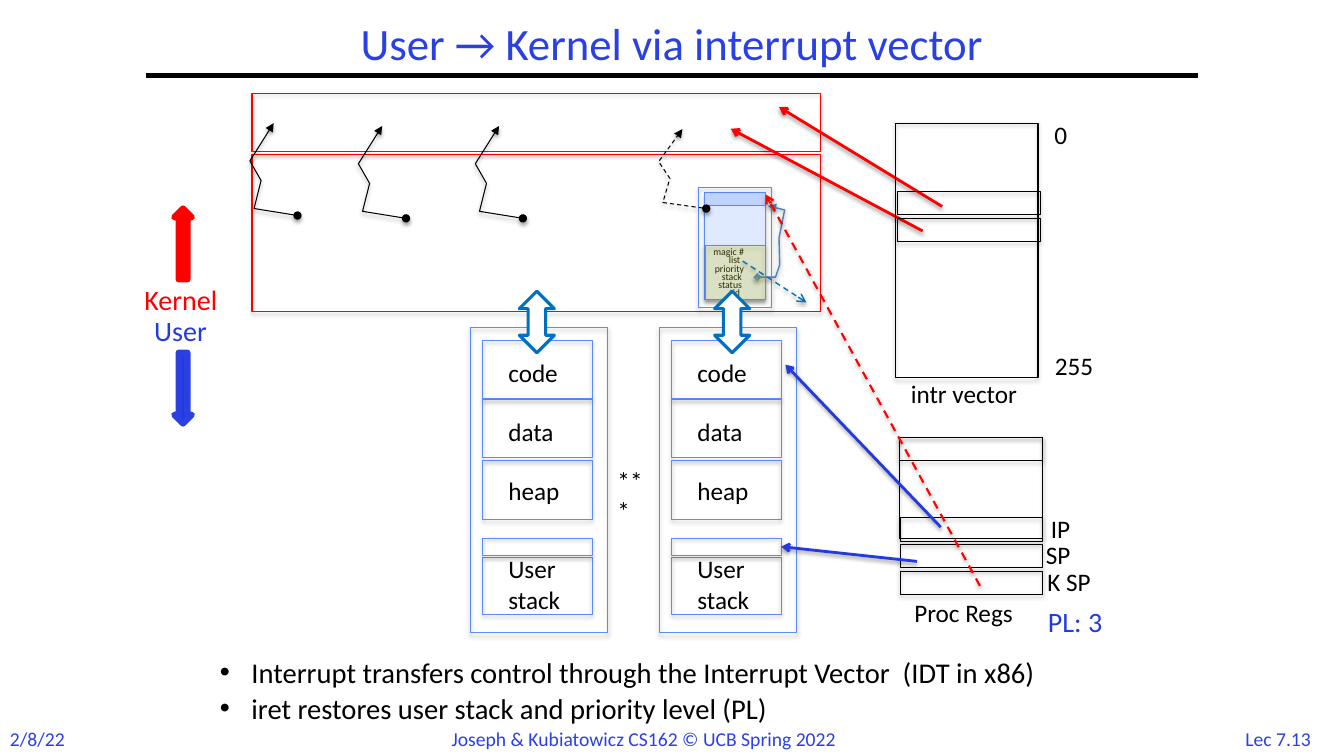
from lxml import etree
from pptx import Presentation
from pptx.dml.color import RGBColor
from pptx.enum.dml import MSO_LINE
from pptx.enum.shapes import MSO_CONNECTOR, MSO_SHAPE as SHAPE
from pptx.enum.text import MSO_ANCHOR as ANCHOR, PP_ALIGN as ALIGN
from pptx.oxml.ns import qn
from pptx.util import Pt

COLORS = {
    "black": "000000", "white": "FFFFFF", "red": "FF0000", "yellow": "FFFF00",
    "title": "2A40E2", "user": "233AE1", "box": "5B8AFB", "arrow": "0070C0",
    "link": "4F81BD", "head": "C0D2FE", "body": "DFE9FF",
}


class Sketch:
    font = "Calibri"

    def __init__(self, slide):
        self.s = slide

    def color(self, name):
        return RGBColor.from_string(COLORS[name])

    def outline(self, sp, color, width, dash=False, head=None, tail=None):
        sp.line.color.rgb = self.color(color)
        sp.line.width = Pt(width)
        if dash:
            sp.line.dash_style = MSO_LINE.DASH
        ln = sp._element.spPr.find(qn("a:ln"))
        for tag, kind in (("a:headEnd", head), ("a:tailEnd", tail)):
            if kind:
                etree.SubElement(ln, qn(tag), type=kind)

    def shadow(self, sp, alpha):
        effects = etree.SubElement(sp._element.spPr, qn("a:effectLst"))
        if alpha:
            shade = etree.SubElement(
                effects, qn("a:outerShdw"), blurRad=str(Pt(3.1)),
                dist=str(Pt(1.8)), dir="5400000", rotWithShape="0")
            rgb = etree.SubElement(shade, qn("a:srgbClr"), val=COLORS["black"])
            etree.SubElement(rgb, qn("a:alpha"), val=str(alpha * 1000))

    def shape(self, x, y, w, h, line, fill=None, kind=SHAPE.RECTANGLE,
              width=0.75, alpha=None, shadow=35):
        sp = self.s.shapes.add_shape(kind, Pt(x), Pt(y), Pt(w), Pt(h))
        if fill:
            sp.fill.solid()
            sp.fill.fore_color.rgb = self.color(fill)
        else:
            sp.fill.background()
        if alpha:
            rgb = sp._element.spPr.find(qn("a:solidFill")).find(qn("a:srgbClr"))
            etree.SubElement(rgb, qn("a:alpha"), val=str(alpha * 1000))
        self.outline(sp, line, width)
        self.shadow(sp, shadow)
        return sp

    def line(self, start, end, color, width, dash=False, tail="arrow", shadow=38):
        sp = self.s.shapes.add_connector(
            MSO_CONNECTOR.STRAIGHT, *(Pt(v) for v in start + end))
        self.outline(sp, color, width, dash, tail=tail)
        self.shadow(sp, shadow)
        return sp

    def path_line(self, points, color, width, head, dash=False):
        first, *rest = [(Pt(x), Pt(y)) for x, y in points]
        builder = self.s.shapes.build_freeform(*first)
        builder.add_line_segments(rest, close=False)
        sp = builder.convert_to_shape()
        sp.fill.background()
        self.outline(sp, color, width, dash, head, "triangle")
        self.shadow(sp, 38)

    def text(self, x, y, w, h, lines, size=18, color="black", wrap=True,
             align=ALIGN.LEFT, anchor=ANCHOR.TOP, spacing=None, bullet=False):
        tf = self.s.shapes.add_textbox(Pt(x), Pt(y), Pt(w), Pt(h)).text_frame
        tf.word_wrap = wrap
        tf.vertical_anchor = anchor
        for i, line in enumerate(lines):
            p = tf.add_paragraph() if i else tf.paragraphs[0]
            p.alignment = align
            if spacing:
                p.line_spacing = spacing
            if bullet:
                if i:
                    p.space_before = Pt(6)
                pPr = p._p.get_or_add_pPr()
                pPr.set("marL", str(Pt(22.5)))
                pPr.set("indent", str(-Pt(22.5)))
                etree.SubElement(pPr, qn("a:buFont"), typeface="Arial")
                etree.SubElement(pPr, qn("a:buChar"), char="•")
            r = p.add_run()
            r.text = line
            r.font.name = self.font
            r.font.size = Pt(size)
            r.font.color.rgb = self.color(color)

    def process(self, x):
        self.shape(x, 234, 98, 218, "box")
        for y, h in ((243.5, 42), (285, 42), (329, 42), (398, 41)):
            self.shape(x + 9, y, 78, h, "box")
        stack_top = self.shape(x + 9, 384.5, 78, 12, "box")
        for i, name in enumerate(("code", "data", "heap")):
            self.text(x + 20, 252 + 42 * i, 57, 29, [name])
        self.text(x + 20, 392, 57, 51, ["User", "stack"])
        return stack_top

    def thread(self, x, y, stretch=1, dash=False):
        steps = ((0, 0), (-31, -5), (-26, -25), (-34, -39), (-17, -66))
        points = [(x + dx, y + dy * stretch) for dx, dy in steps]
        self.path_line(points, "black", 0.75, "oval", dash)


def main():
    prs = Presentation()
    prs.slide_width, prs.slide_height = Pt(960), Pt(540)
    d = Sketch(prs.slides.add_slide(prs.slide_layouts[6]))

    d.text(878, 515.5, 70, 24, ["Lec 7.13"], 14, "title", False, ALIGN.CENTER)
    d.text(0, 515.5, 54, 24, ["2/8/22"], 14, "title", False)
    d.text(315.5, 515.5, 328, 24,
           ["Joseph & Kubiatowicz CS162 © UCB Spring 2022"], 14, "title")
    d.line((104, 54), (856, 54), "black", 3, tail=None, shadow=None)
    d.text(104, 12, 752, 42, ["User → Kernel via interrupt vector"], 32, "title",
           align=ALIGN.CENTER, anchor=ANCHOR.MIDDLE, spacing=0.9)
    d.text(150, 469, 648, 61,
           ["Interrupt transfers control through the Interrupt Vector  (IDT in x86)",
            "iret restores user stack and priority level (PL)"],
           20.4, spacing=0.8, bullet=True)

    user_stack = d.process(471)
    d.process(336)
    d.text(434, 329, 36, 29, ["***"])

    d.shape(180, 66.5, 406, 42, "red")
    d.shape(180, 110, 406, 112.5, "red")

    d.shape(642.5, 312.5, 102, 72, "black")
    d.shape(642.5, 312.5, 102, 16.5, "black")
    for i in range(3):
        d.shape(643, 370 + 19 * i, 102, 16.5, "black")
    for x, y, name in ((743.5, 363, "IP"), (740, 382, "SP"), (741, 401, "K SP")):
        d.text(x, y, 56, 29, [name])
    d.text(646, 423, 99, 29, ["Proc Regs"])
    d.text(741.5, 428, 62, 32, ["PL: 3"], 20, "user")

    d.line((655, 401), (558, 390.5), "user", 2).end_connect(user_stack, 3)
    d.line((672, 376.5), (561, 260.5), "user", 2)

    for x, y in ((212.5, 154), (290, 156), (373.5, 156)):
        d.thread(x, y)

    d.line((673, 147.5), (556.5, 76.5), "red", 2)
    d.line((659, 165), (522, 92), "red", 2)
    d.shape(639.5, 88, 102, 182, "black")
    for y in (137, 156):
        d.shape(641, y, 102, 16.5, "black")
    d.text(746, 82, 25, 29, ["0"])
    d.text(746.5, 246.5, 45, 29, ["255"])
    d.text(643.5, 266.5, 94, 29, ["intr vector"])

    d.shape(503.5, 137.5, 43, 9.5, "box", "head")
    d.shape(503.5, 147, 43, 67, "box", "body")
    fields = ((502.5, "magic #"), (513.5, "list"), (503.5, "priority"),
              (508.5, "stack"), (506, "status"), (514, "tid"))
    for i, (x, name) in enumerate(fields):
        d.text(x, 172 + 5.9 * i, 40, 16, [name], 7)
    d.path_line(((541, 198), (554, 198), (557, 189), (556.5, 170),
                 (560.5, 150), (548.5, 147)), "link", 1, "diamond")
    d.shape(504, 175.5, 42.5, 38.5, "box", "yellow", alpha=18)
    d.shape(499, 134, 52, 86, "box")
    d.line((530.5, 186.5), (576, 216), "arrow", 1, True)
    d.thread(504.5, 149, 0.86, True)
    d.line((700, 418.5), (547, 139), "red", 1.5, True)

    for x in (371, 510.5):
        d.shape(x, 208, 25, 44, "arrow", "white", SHAPE.UP_DOWN_ARROW, 2.25,
                shadow=None)
    d.text(96, 198, 73, 32, ["Kernel"], 20, "red")
    d.text(103, 220.5, 57, 32, ["User"], 20, "user")
    d.shape(124.5, 252, 12.5, 50.5, "title", "user", SHAPE.DOWN_ARROW, 4.5,
            shadow=None)
    d.shape(124.5, 149, 12.5, 50.5, "red", "red", SHAPE.UP_ARROW, 4.5,
            shadow=None)

    prs.save("out.pptx")


if __name__ == "__main__":
    main()
